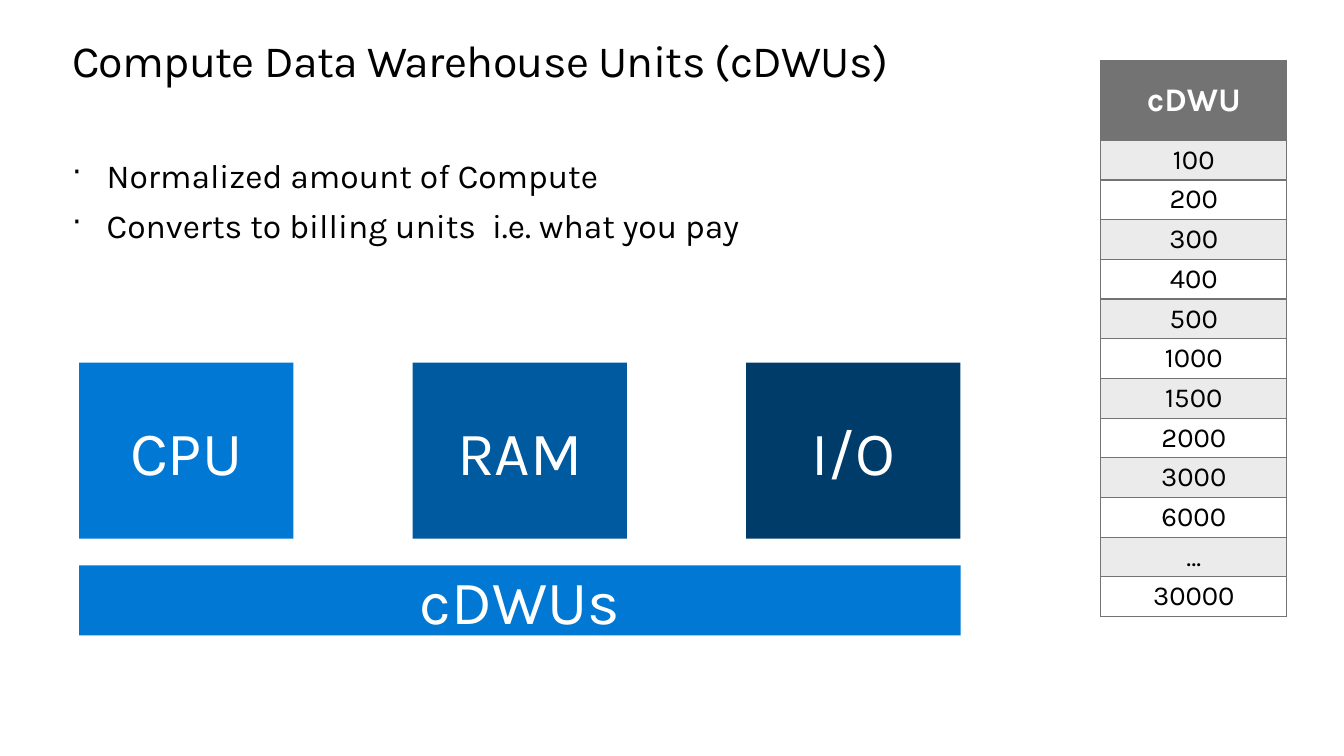
from lxml.etree import SubElement
from pptx import Presentation
from pptx.dml.color import RGBColor
from pptx.enum.shapes import MSO_SHAPE
from pptx.enum.text import MSO_ANCHOR as Anchor, MSO_AUTO_SIZE as AutoSize, PP_ALIGN as Align
from pptx.oxml.ns import qn
from pptx.util import Inches, Pt

FONT = "Karla"
BLACK, WHITE = "000000", "FFFFFF"
GRAY, PALE = "737373", "EBEBEB"
BLUE, MID_BLUE, DARK_BLUE = "0078D4", "005A9F", "003C6A"

BULLETS = ["Normalized amount of Compute", "Converts to billing units  i.e. what you pay"]
RESOURCES = [("CPU", BLUE), ("RAM", MID_BLUE), ("I/O", DARK_BLUE)]
CDWU_LEVELS = ["100", "200", "300", "400", "500", "1000", "1500",
               "2000", "3000", "6000", "…", "30000"]


def set_attributes(target, values):
    for name, value in values.items():
        setattr(target, name, value)


def paint(color_holder, color):
    color_holder.solid()
    color_holder.fore_color.rgb = RGBColor.from_string(color)


def set_margins(target, horizontal, vertical):
    set_attributes(target, {"margin_left": Inches(horizontal), "margin_right": Inches(horizontal),
                            "margin_top": Inches(vertical), "margin_bottom": Inches(vertical)})


def write(paragraph, text, size, color, align=Align.LEFT, bold=False):
    paragraph.alignment = align
    run = paragraph.add_run()
    run.text = text
    set_attributes(run.font, {"name": FONT, "size": Pt(size), "bold": bold})
    paint(run.font.fill, color)
    return run


def add_title(slide, text):
    title = slide.shapes.title
    set_attributes(title, {"left": Inches(0.73), "top": Inches(0.36),
                           "width": Inches(12.14), "height": Inches(0.51)})
    paint(title.fill, WHITE)
    frame = title.text_frame
    set_margins(frame, 0, 0)
    set_attributes(frame, {"word_wrap": True, "vertical_anchor": Anchor.TOP,
                           "auto_size": AutoSize.SHAPE_TO_FIT_TEXT})
    paragraph = frame.paragraphs[0]
    paragraph.line_spacing = Pt(36.9)
    run = write(paragraph, text, 32.6, BLACK)
    run.font._element.set("spc", "-50")


def add_bullet(paragraph):
    properties = paragraph._p.get_or_add_pPr()
    properties.set("marL", str(Inches(0.35)))
    properties.set("indent", str(-Inches(0.35)))
    color = SubElement(properties, qn("a:buClr"))
    SubElement(color, qn("a:srgbClr"), val=BLACK)
    SubElement(properties, qn("a:buSzPct"), val="90000")
    SubElement(properties, qn("a:buChar"), char="·")


def add_bullet_list(slide, items):
    box = slide.shapes.add_textbox(Inches(0.73), Inches(1.57), Inches(12.14), Inches(1.09))
    frame = box.text_frame
    frame.word_wrap = True
    set_margins(frame, 0, 0)
    for index, item in enumerate(items):
        paragraph = frame.add_paragraph() if index else frame.paragraphs[0]
        add_bullet(paragraph)
        paragraph.space_before = Pt(6.8 if index else 0)
        write(paragraph, item, 24.5, BLACK)


def add_block(slide, text, color, left, top, width, height):
    block = slide.shapes.add_shape(MSO_SHAPE.RECTANGLE, Inches(left), Inches(top),
                                   Inches(width), Inches(height))
    block.shadow.inherit = False
    paint(block.fill, color)
    block.line.fill.background()
    frame = block.text_frame
    set_margins(frame, 0.17, 0.17)
    set_attributes(frame, {"word_wrap": True, "vertical_anchor": Anchor.MIDDLE})
    write(frame.paragraphs[0], text, 44.9, WHITE, Align.CENTER)


def add_borders(cell):
    properties = cell._tc.get_or_add_tcPr()
    for side in ("L", "R", "T", "B"):
        line = SubElement(properties, qn(f"a:ln{side}"), w=str(Pt(1)))
        fill = SubElement(line, qn("a:solidFill"))
        SubElement(fill, qn("a:srgbClr"), val=GRAY)


def fill_cell(cell, text, size, color, background, bold=False):
    add_borders(cell)
    paint(cell.fill, background)
    set_margins(cell, 0.1, 0)
    cell.vertical_anchor = Anchor.MIDDLE
    write(cell.text_frame.paragraphs[0], text, size, color, Align.CENTER, bold)


def add_level_table(slide, header, levels):
    frame = slide.shapes.add_table(len(levels) + 1, 1, Inches(11.14), Inches(0.61),
                                   Inches(1.88), Inches(5.63))
    table = frame.table
    table.rows[0].height = Inches(0.81)
    fill_cell(table.cell(0, 0), header, 24, WHITE, GRAY, bold=True)
    for row, level in enumerate(levels, start=1):
        table.rows[row].height = Inches((5.63 - 0.81) / len(levels))
        fill_cell(table.cell(row, 0), level, 20, BLACK, PALE if row % 2 else WHITE)


def main():
    presentation = Presentation()
    set_attributes(presentation, {"slide_width": Inches(13.6), "slide_height": Inches(7.65)})
    slide = presentation.slides.add_slide(presentation.slide_layouts[5])
    add_title(slide, "Compute Data Warehouse Units (cDWUs)")
    add_bullet_list(slide, BULLETS)
    for index, (name, color) in enumerate(RESOURCES):
        add_block(slide, name, color, 0.8 + index * 3.375, 3.67, 2.17, 1.78)
    add_block(slide, "cDWUs", BLUE, 0.8, 5.72, 8.92, 0.71)
    add_level_table(slide, "cDWU", CDWU_LEVELS)
    presentation.save("out.pptx")


if __name__ == "__main__":
    main()
